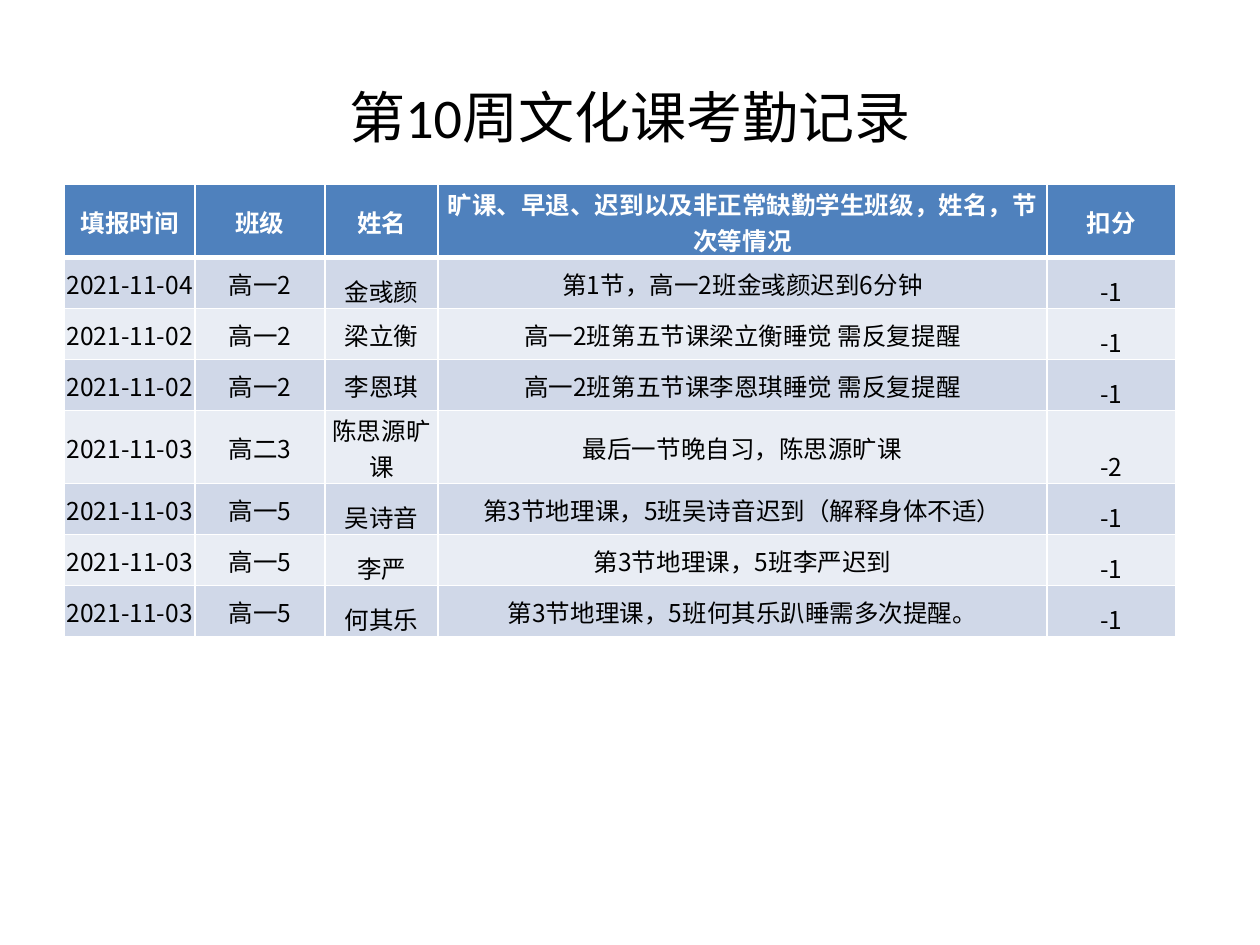
"""Build the weekly attendance record slide."""
from typing import Any, NamedTuple

from lxml import etree
from pptx import Presentation
from pptx import util as u
from pptx.dml.color import RGBColor
from pptx.enum import text
from pptx.oxml import ns

COLORS = {"header": "4F81BD", "odd": "D0D8E8", "even": "E9EDF4",
          "white": "FFFFFF", "black": "000000"}
TABLE_FONT = "Noto Sans CJK SC"
MIDDLE, BOTTOM = text.MSO_ANCHOR.MIDDLE, text.MSO_ANCHOR.BOTTOM
COLUMN_WIDTHS = (74.4, 74.4, 64.6, 348, 73.6)
ONE_LINE, TWO_LINES = 29.2, 41.6
CELL_MARGINS = {"margin_left": u.Pt(0.7), "margin_right": u.Pt(0.7),
                "margin_top": u.Pt(0.7), "margin_bottom": u.Pt(0)}


class Record(NamedTuple):
    date: str
    group: str
    student: str
    details: str
    points: str
    student_anchor: Any = BOTTOM
    height: float = ONE_LINE


HEADINGS = Record("填报时间", "班级", "姓名",
                  "旷课、早退、迟到以及非正常缺勤学生班级，姓名，节次等情况", "扣分",
                  MIDDLE, TWO_LINES)
RECORDS = (
    Record("2021-11-04", "高一2", "金彧颜", "第1节，高一2班金彧颜迟到6分钟", "-1"),
    Record("2021-11-02", "高一2", "梁立衡", "高一2班第五节课梁立衡睡觉 需反复提醒", "-1", MIDDLE),
    Record("2021-11-02", "高一2", "李恩琪", "高一2班第五节课李恩琪睡觉 需反复提醒", "-1", MIDDLE),
    Record("2021-11-03", "高二3", "陈思源旷课", "最后一节晚自习，陈思源旷课", "-2",
           height=TWO_LINES),
    Record("2021-11-03", "高一5", "吴诗音", "第3节地理课，5班吴诗音迟到（解释身体不适）", "-1"),
    Record("2021-11-03", "高一5", "李严", "第3节地理课，5班李严迟到", "-1"),
    Record("2021-11-03", "高一5", "何其乐", "第3节地理课，5班何其乐趴睡需多次提醒。", "-1"),
)


def set_attributes(target: Any, values: dict[str, Any]) -> None:
    for name, value in values.items():
        setattr(target, name, value)


def write_text(frame: Any, content: str, font: str, size: float,
               color: str, bold: bool = False) -> None:
    paragraph = frame.paragraphs[0]
    paragraph.alignment = text.PP_ALIGN.CENTER
    run = paragraph.add_run()
    run.text = content
    set_attributes(run.font, {"name": font, "size": u.Pt(size), "bold": bold})
    run.font.color.rgb = RGBColor.from_string(COLORS[color])
    east_asian = etree.SubElement(run.font._element, ns.qn("a:ea"))
    east_asian.set("typeface", TABLE_FONT)


def add_borders(cell: Any, widths: dict[str, float]) -> None:
    properties = cell._tc.get_or_add_tcPr()
    for side, width in widths.items():
        line = etree.SubElement(properties, ns.qn(f"a:ln{side}"), w=str(u.Pt(width)))
        fill = etree.SubElement(line, ns.qn("a:solidFill"))
        etree.SubElement(fill, ns.qn("a:srgbClr"), val=COLORS["white"])


def add_title(slide: Any, content: str) -> None:
    box = slide.shapes.add_textbox(u.Pt(36), u.Pt(21.6), u.Pt(648), u.Pt(90))
    set_attributes(box.text_frame, {"word_wrap": True, "vertical_anchor": MIDDLE})
    write_text(box.text_frame, content, "Calibri", 32, "black")


def fill_row(table: Any, index: int, record: Record) -> None:
    is_header = index == 0
    fill_color = "header" if is_header else "odd" if index % 2 else "even"
    points_anchor = MIDDLE if is_header else BOTTOM
    anchors = (MIDDLE, MIDDLE, record.student_anchor, MIDDLE, points_anchor)
    borders = {"L": 1, "R": 1, "T": 3 if index == 1 else 1, "B": 3 if is_header else 1}
    for column, (content, anchor) in enumerate(zip(record[:5], anchors)):
        cell = table.cell(index, column)
        set_attributes(cell, {**CELL_MARGINS, "vertical_anchor": anchor})
        add_borders(cell, borders)
        cell.fill.solid()
        cell.fill.fore_color.rgb = RGBColor.from_string(COLORS[fill_color])
        write_text(cell.text_frame, content, TABLE_FONT, 14,
                   "white" if is_header else "black", is_header)


def add_attendance_table(slide: Any) -> None:
    rows = (HEADINGS, *RECORDS)
    table = slide.shapes.add_table(
        len(rows), len(COLUMN_WIDTHS), u.Pt(37), u.Pt(105.5),
        u.Pt(sum(COLUMN_WIDTHS)), u.Pt(sum(record.height for record in rows))).table
    for column, width in zip(table.columns, COLUMN_WIDTHS):
        column.width = u.Pt(width)
    for index, record in enumerate(rows):
        table.rows[index].height = u.Pt(record.height)
        fill_row(table, index, record)


def main() -> None:
    presentation = Presentation()
    set_attributes(presentation, {"slide_width": u.Pt(720), "slide_height": u.Pt(540)})
    slide = presentation.slides.add_slide(presentation.slide_layouts[6])
    add_title(slide, "第10周文化课考勤记录")
    add_attendance_table(slide)
    presentation.save("out.pptx")


if __name__ == "__main__":
    main()
